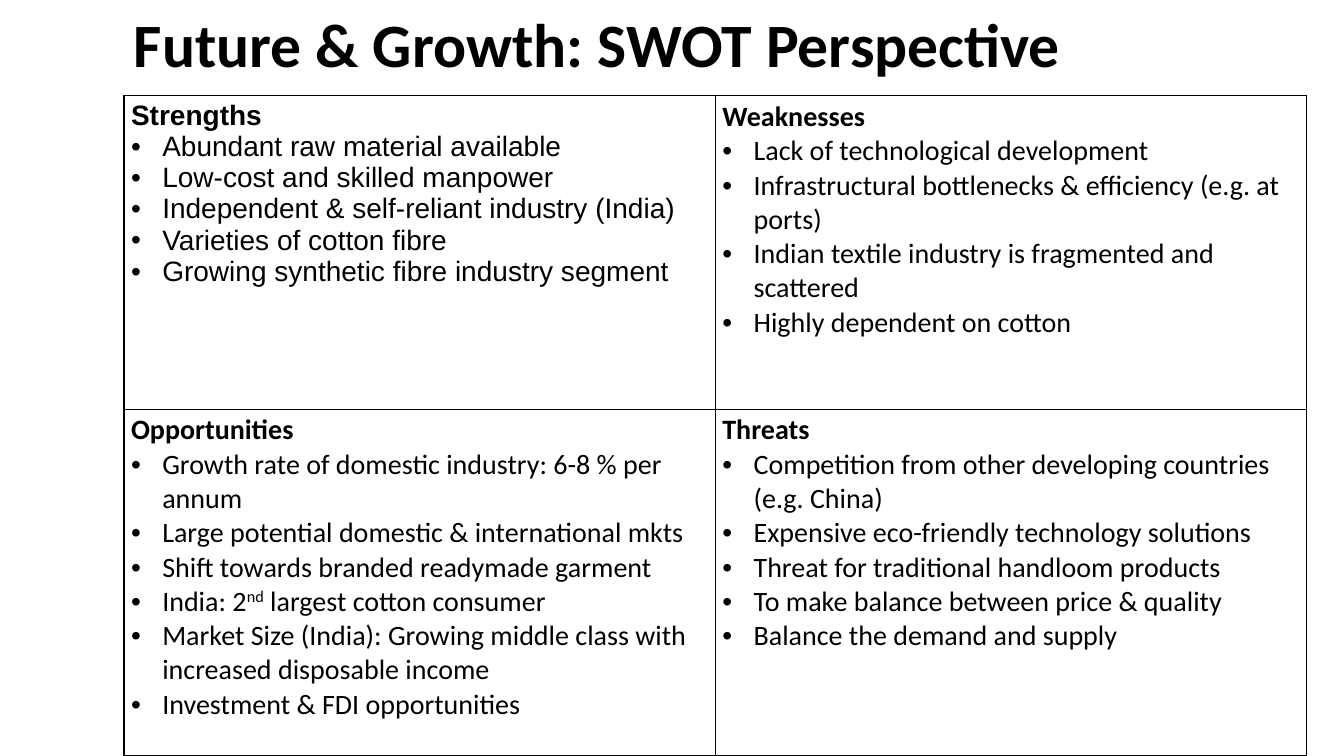
from lxml.etree import SubElement
from pptx import Presentation
from pptx.dml.color import RGBColor
from pptx.enum.text import MSO_ANCHOR
from pptx.oxml.ns import qn
from pptx.util import Inches, Pt

COLORS = {"ink": "000000", "paper": "FFFFFF"}
HEAD = {"name": "Calibri", "size": Pt(44), "bold": True}
BODY = {"size": Pt(20)}
INSETS = {"margin_left": 0.07, "margin_right": 0.07,
          "margin_top": 0.04, "margin_bottom": 0.04}
ROWS = [3.11, 3.44]
INDENT = Inches(0.31)

TITLE = "Future & Growth: SWOT Perspective"
# A bullet given as a tuple holds base, superscript and base text in turn.
SWOT = [
    [("Strengths", "Arial", [
        "Abundant raw material available",
        "Low-cost and skilled manpower",
        "Independent & self-reliant industry (India)",
        "Varieties of cotton fibre",
        "Growing synthetic fibre industry segment"]),
     ("Weaknesses", "Calibri", [
         "Lack of technological development",
         "Infrastructural bottlenecks & efficiency (e.g. at ports)",
         "Indian textile industry is fragmented and scattered",
         "Highly dependent on cotton"])],
    [("Opportunities", "Calibri", [
        "Growth rate of domestic industry: 6-8 % per annum",
        "Large potential domestic & international mkts",
        "Shift towards branded readymade garment",
        ("India: 2", "nd", " largest cotton consumer"),
        "Market Size (India): Growing middle class with increased disposable income",
        "Investment & FDI opportunities"]),
     ("Threats", "Calibri", [
         "Competition from other developing countries (e.g. China)",
         "Expensive eco-friendly technology solutions",
         "Threat for traditional handloom products",
         "To make balance between price & quality",
         "Balance the demand and supply"])],
]


def paint(parent, key):
    """Add a solid fill to an XML element."""
    fill = SubElement(parent, qn("a:solidFill"))
    SubElement(fill, qn("a:srgbClr"), val=COLORS[key])


def add_run(para, text, style):
    run = para.add_run()
    run.text = text
    for key, value in style.items():
        setattr(run.font, key, value)
    run.font.color.rgb = RGBColor.from_string(COLORS["ink"])
    return run


def add_bullet(para):
    props = para._p.get_or_add_pPr()
    props.set("marL", str(INDENT))
    props.set("indent", str(-INDENT))
    paint(SubElement(props, qn("a:buClr")), "ink")
    props[-1].append(props[-1][0][0])
    props[-1].remove(props[-1][0])
    SubElement(props, qn("a:buFont"), typeface="Arial")
    SubElement(props, qn("a:buChar"), char="•")


def add_borders(cell):
    props = cell._tc.get_or_add_tcPr()
    for place, side in enumerate(("lnL", "lnR", "lnT", "lnB")):
        line = SubElement(props, qn(f"a:{side}"), w=str(Pt(1)))
        paint(line, "ink")
        props.insert(place, line)


def fill_cell(cell, head, font, items):
    cell.fill.solid()
    cell.fill.fore_color.rgb = RGBColor.from_string(COLORS["paper"])
    for key, value in INSETS.items():
        setattr(cell, key, Inches(value))
    add_borders(cell)
    style = {**BODY, "name": font}
    frame = cell.text_frame
    add_run(frame.paragraphs[0], head, {**style, "bold": True})
    for item in items:
        para = frame.add_paragraph()
        add_bullet(para)
        parts = (item,) if isinstance(item, str) else item
        for place, part in enumerate(parts):
            run = add_run(para, part, {**style, "bold": False})
            if place % 2:
                run.font._element.set("baseline", "30000")


def add_title(slide, left, top, width, height):
    box = slide.shapes.add_textbox(*map(Inches, (left, top, width, height)))
    frame = box.text_frame
    frame.word_wrap = True
    frame.vertical_anchor = MSO_ANCHOR.MIDDLE
    para = frame.paragraphs[0]
    para.line_spacing = 0.9
    add_run(para, TITLE, HEAD)


def add_grid(slide, left, top, width, height):
    box = map(Inches, (left, top, width, height))
    table = slide.shapes.add_table(len(SWOT), len(SWOT[0]), *box).table
    table.first_row = table.horz_banding = False
    for row, size in zip(table.rows, ROWS):
        row.height = Inches(size)
    for r, line in enumerate(SWOT):
        for c, part in enumerate(line):
            fill_cell(table.cell(r, c), *part)


def main():
    deck = Presentation()
    deck.slide_width, deck.slide_height = Inches(13.33), Inches(7.5)
    slide = deck.slides.add_slide(deck.slide_layouts[6])
    add_title(slide, 1.23, 0, 10.87, 0.95)
    add_grid(slide, 1.23, 0.95, 11.73, sum(ROWS))
    deck.save("out.pptx")


if __name__ == "__main__":
    main()
